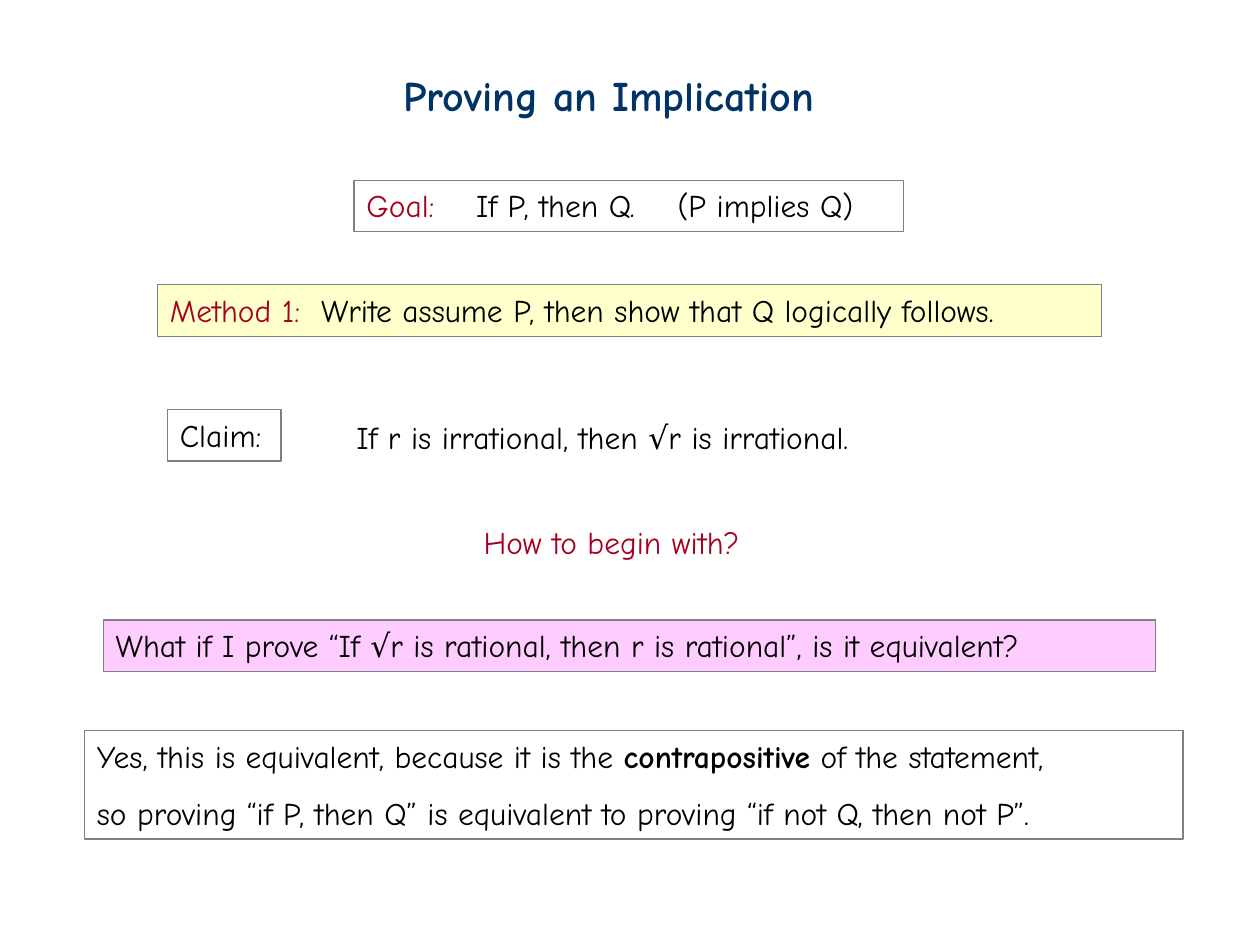
from lxml.etree import SubElement as Sub
from pptx import Presentation
from pptx.dml.color import RGBColor as RGB
from pptx.enum.shapes import MSO_SHAPE as Shape
from pptx.enum.text import MSO_ANCHOR as Anchor, MSO_AUTO_SIZE as Auto, PP_ALIGN as Align
from pptx.oxml.ns import qn
from pptx.util import Inches, Pt

FONT = "Comic Neue"
HUES = {"navy": "003366", "black": "000000", "red": "A50021",
        "gray": "808080", "pink": "FFCCFF", "cream": "FFFFCC"}

TITLE = ("Proving an Implication", (3.1, 0.5, 3.73, 0.5))
NOTES = [
    ((2.73, 3.27, 4.69, 0.4), "black", "If r is irrational, then √r is irrational."),
    ((3.74, 4.1, 2.42, 0.4), "red", "How to begin with?"),
]
BOXES = [
    {"at": (2.81, 1.43, 4.36, 0.41), "tabs": (0.87, 2.47),
     "lines": [[("Goal:", "red"), ("\tIf P, then Q.\t(P implies Q)", "black")]]},
    {"at": (1.25, 2.26, 7.49, 0.41), "tabs": (1.2,), "fill": "cream",
     "lines": [[("Method 1:", "red"),
                ("\tWrite assume P, then show that Q logically follows.", "black")]]},
    {"at": (1.33, 3.25, 0.9, 0.41), "lines": [[("Claim:", "black")]]},
    {"at": (0.82, 4.92, 8.35, 0.41), "fill": "pink",
     "lines": [[("What if I prove “If √r is rational, then r is rational”, "
                 "is it equivalent?", "black")]]},
    {"at": (0.67, 5.8, 8.72, 0.86),
     "lines": [[("Yes, this is equivalent, because it is the ", "black"),
                ("contrapositive", "black", True),
                (" of the statement,", "black")],
               [("so proving “if P, then Q” is equivalent to proving "
                 "“if not Q, then not P”.", "black")]]},
]


def color(name):
    return RGB.from_string(HUES[name])


def write(shape, lines, size=18, tabs=()):
    frame = shape.text_frame
    frame.word_wrap = True
    frame.auto_size = Auto.NONE
    frame.vertical_anchor = Anchor.TOP
    for i, line in enumerate(lines):
        para = frame.add_paragraph() if i else frame.paragraphs[0]
        para.alignment = Align.LEFT
        para.line_spacing = 1.5 if i else 1.0
        if tabs:
            stops = Sub(para._p.get_or_add_pPr(), qn("a:tabLst"))
            for pos in tabs:
                Sub(stops, qn("a:tab"), pos=str(Inches(pos)), algn="l")
        for text, hue, *bold in line:
            run = para.add_run()
            run.text = text
            run.font.name = FONT
            run.font.size = Pt(size)
            run.font.bold = bool(bold)
            run.font.color.rgb = color(hue)


def draw_box(slide, at, lines, fill=None, tabs=()):
    box = slide.shapes.add_shape(Shape.RECTANGLE, *map(Inches, at))
    box.shadow.inherit = False
    if fill:
        box.fill.solid()
        box.fill.fore_color.rgb = color(fill)
    else:
        box.fill.background()
    box.line.color.rgb = color("gray")
    box.line.width = Pt(0.75)
    write(box, lines, tabs=tabs)


def main():
    deck = Presentation()
    deck.slide_width, deck.slide_height = Inches(10), Inches(7.5)
    slide = deck.slides.add_slide(deck.slide_layouts[5])
    text, at = TITLE
    title = slide.shapes.title
    title.left, title.top, title.width, title.height = map(Inches, at)
    write(title, [[(text, "navy", True)]], 24)
    for at, hue, text in NOTES:
        note = slide.shapes.add_textbox(*map(Inches, at))
        write(note, [[(text, hue)]])
    for box in BOXES:
        draw_box(slide, **box)
    deck.save("out.pptx")


if __name__ == "__main__":
    main()
